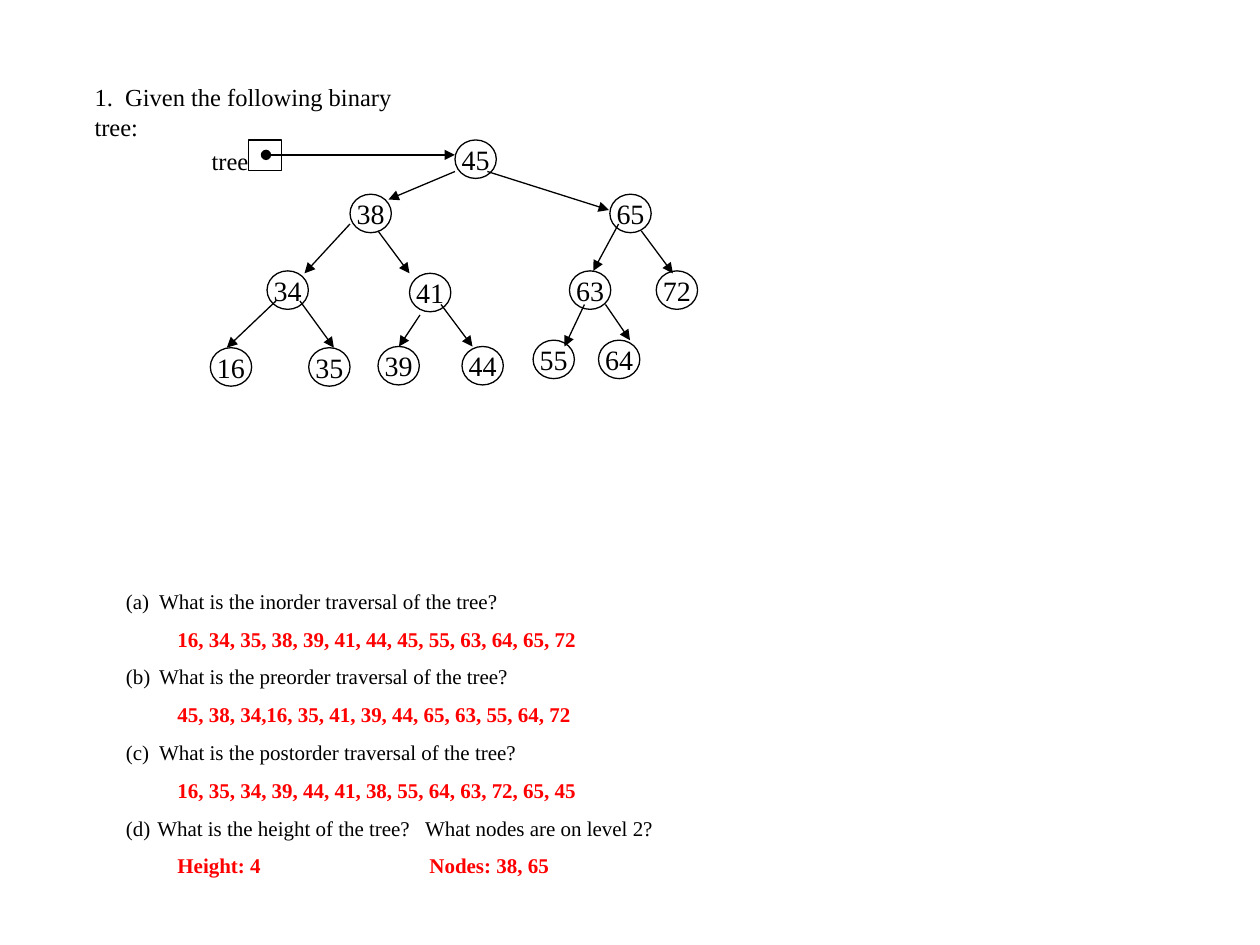
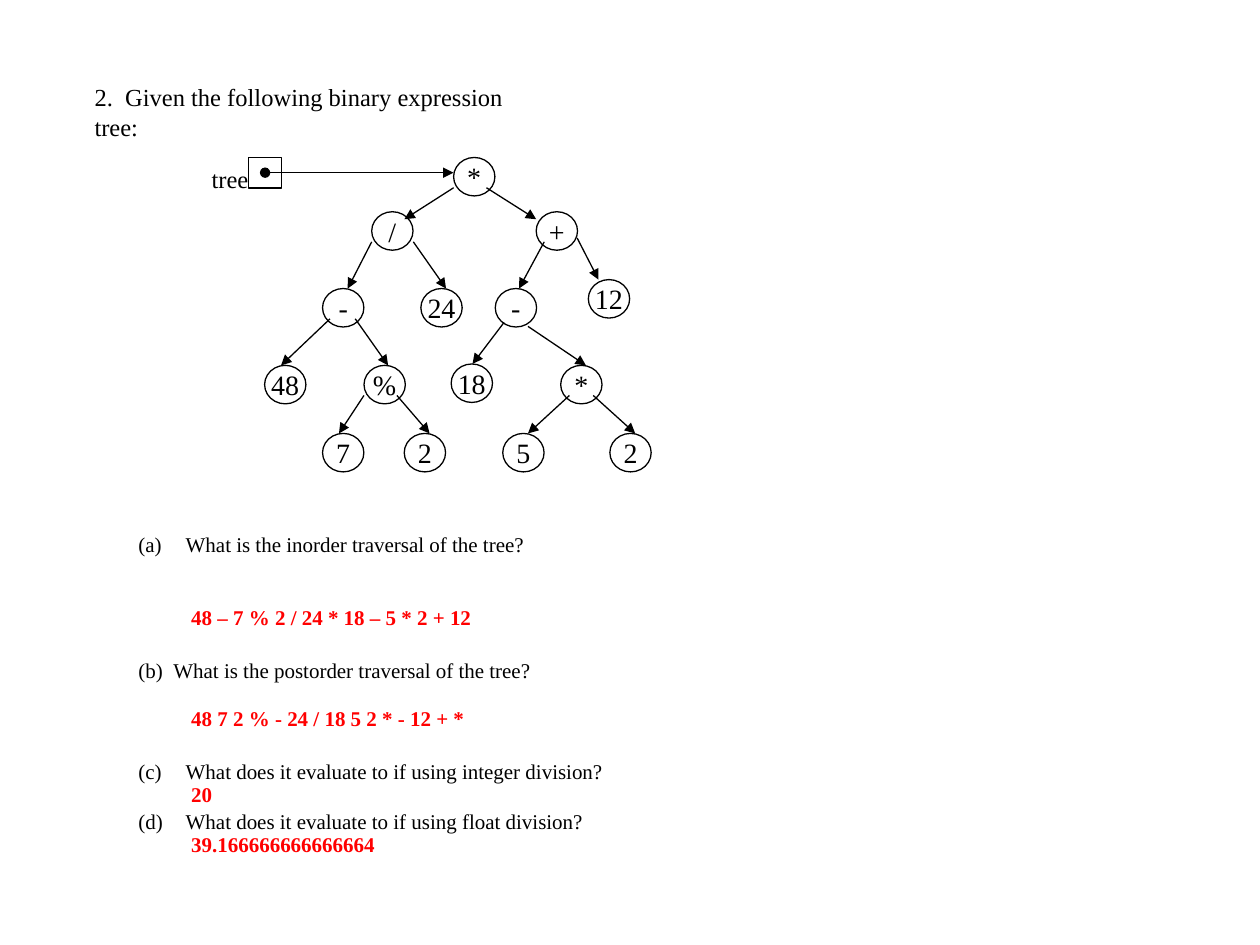
from dataclasses import dataclass

from lxml import etree
from pptx import Presentation
from pptx import util as u
from pptx.dml.color import RGBColor
from pptx.enum import shapes, text
from pptx.oxml.ns import qn

Pt = u.Pt


@dataclass(frozen=True)
class Theme:
    font: str = "Times New Roman"
    ink: RGBColor = RGBColor(0, 0, 0)
    answer: RGBColor = RGBColor(255, 0, 0)
    title_size: float = 14
    title_line: float = 17
    node_size: float = 16
    body_size: float = 12
    body_line: float = 14.4
    stroke: float = 0.75
    node_width: float = 23.6
    node_height: float = 22


T = Theme()

# Each node: label, left, top, start and end of the arrow that leads to it.
# The first node is the root; its arrow comes from the tree pointer.
SEARCH_TREE = [
    ("45", 260, 80, (152, 88.5), (260, 88.5)),
    ("38", 200, 111, (260, 98), (222, 114)),
    ("65", 348.5, 111, (278.5, 98), (348, 120)),
    ("34", 152.6, 154.8, (200, 128), (174, 156.2)),
    ("41", 234, 156.2, (216, 132), (234, 156.2)),
    ("63", 325.4, 154.8, (353.5, 128), (339, 154.8)),
    ("72", 375, 154.8, (366.5, 132), (384.5, 156.2)),
    ("16", 120.2, 198.7, (157.7, 172), (129.6, 198.7)),
    ("35", 176.4, 198.7, (171.4, 172), (190.8, 198.7)),
    ("39", 216, 198, (240, 180), (228, 198)),
    ("44", 264, 198, (252, 174), (270, 198)),
    ("55", 304.6, 194.4, (334, 174), (322.6, 198)),
    ("64", 342, 194.4, (346, 174), (360, 194.4)),
]
EXPRESSION_TREE = [
    ("*", 259.2, 90, (151.5, 98.7), (259.2, 98.7)),
    ("/", 212.4, 121, (259.2, 107.3), (231.1, 125.3)),
    ("+", 306.4, 121, (278, 107.3), (306.4, 125.3)),
    ("-", 184.3, 164.9, (212.4, 138.2), (198.7, 164.9)),
    ("24", 240.5, 164.9, (236.2, 138.2), (254.9, 164.9)),
    ("-", 283, 164.9, (311, 138.2), (296.6, 164.9)),
    ("12", 336.2, 159.8, (329.8, 136), (342, 159.8)),
    ("48", 151.2, 208.8, (188.6, 182.2), (160.6, 208.8)),
    ("%", 208, 208.8, (203, 182.2), (221.8, 208.8)),
    ("18", 257.8, 208, (288, 184.3), (270, 208)),
    ("*", 320.4, 208.8, (301.7, 186.5), (334.8, 208.8)),
    ("7", 184.3, 247.7, (208, 226), (193.7, 247.7)),
    ("2", 231, 247.7, (226.8, 226), (245.5, 247.7)),
    ("5", 287.3, 247.7, (325.4, 226), (301.7, 247.7)),
    ("2", 348.5, 247.7, (339, 226), (363, 247.7)),
]

# Each question: free lines above, hanging indent, wording
TREE_QUESTIONS = [
    (0, 19, "What is the inorder traversal of the tree?"),
    (2, 19, "What is the preorder traversal of the tree?"),
    (2, 19, "What is the postorder traversal of the tree?"),
    (2, 18, "What is the height of the tree?\tWhat nodes are on level 2?"),
]
EXPRESSION_QUESTIONS = [
    (0, 27, "What is the inorder traversal of the tree?"),
    (4, 20, "What is the postorder traversal of the tree?"),
    (3, 27, "What does it evaluate to if using integer division?"),
    (1, 27, "What does it evaluate to if using float division?"),
]

# Each answer: free lines above, wording
TREE_ANSWERS = [
    (0, "16, 34, 35, 38, 39, 41, 44, 45, 55, 63, 64, 65, 72"),
    (2, "45, 38, 34,16, 35, 41, 39, 44, 65, 63, 55, 64, 72"),
    (2, "16, 35, 34, 39, 44, 41, 38, 55, 64, 63, 72, 65, 45"),
    (2, "Height: 4\tNodes: 38, 65"),
]
EXPRESSION_ANSWERS = [
    (0, "48 – 7 % 2 / 24 * 18 – 5 * 2 + 12"),
    (3, "48 7 2 % - 24 / 18 5 2 * - 12 + *"),
    (2, "20"),
    (1, "39.166666666666664"),
]


def write(p, words, size, color=T.ink, bold=False):
    p.text = words
    for r in p.runs:
        r.font.name, r.font.size, r.font.bold = T.font, Pt(size), bold
        r.font.color.rgb = color


def add_title(s, words, width):
    sp = s.shapes.title
    sp.left, sp.top, sp.width, sp.height = Pt(46.8), Pt(43.2), Pt(width), Pt(42)
    tf = sp.text_frame
    tf.word_wrap = True
    tf.auto_size = text.MSO_AUTO_SIZE.NONE
    tf.vertical_anchor = text.MSO_ANCHOR.TOP
    p = tf.paragraphs[0]
    p.alignment = text.PP_ALIGN.LEFT
    p.line_spacing = Pt(T.title_line)
    write(p, words, T.title_size)


def add_outline(s, kind, left, top, width, height):
    sp = s.shapes.add_shape(kind, Pt(left), Pt(top), Pt(width), Pt(height))
    sp.shadow.inherit = False
    sp.fill.background()
    sp.line.color.rgb = T.ink
    sp.line.width = Pt(T.stroke)
    return sp


def add_node(s, label, left, top):
    sp = add_outline(s, shapes.MSO_SHAPE.OVAL, left, top, T.node_width, T.node_height)
    tf = sp.text_frame
    tf.word_wrap = False
    tf.vertical_anchor = text.MSO_ANCHOR.MIDDLE
    p = tf.paragraphs[0]
    p.alignment = text.PP_ALIGN.CENTER
    write(p, label, T.node_size)


def add_arrow(s, start, end, dotted_start=False):
    cx = s.shapes.add_connector(shapes.MSO_CONNECTOR.STRAIGHT,
                                *(Pt(v) for v in (*start, *end)))
    cx.line.color.rgb = T.ink
    cx.line.width = Pt(T.stroke)
    ln = cx.line._get_or_add_ln()
    if dotted_start:
        etree.SubElement(ln, qn("a:headEnd"), type="oval")
    etree.SubElement(ln, qn("a:tailEnd"), type="triangle")
    etree.SubElement(cx._element.spPr, qn("a:effectLst"))


def add_text_box(s, left, top, width, height):
    sp = s.shapes.add_textbox(Pt(left), Pt(top), Pt(width), Pt(height))
    sp.text_frame.word_wrap = False
    return sp.text_frame


def add_tree(s, nodes):
    # Pointer variable, level with the root
    top = nodes[0][2]
    add_outline(s, shapes.MSO_SHAPE.RECTANGLE, 142.2, top, 18.8, 17.4)
    tf = add_text_box(s, 113.8, top, 35.3, 23.8)
    write(tf.paragraphs[0], "tree", T.title_size)
    # Nodes and the arrows that lead to them
    for i, (label, left, node_top, start, end) in enumerate(nodes):
        add_node(s, label, left, node_top)
        add_arrow(s, start, end, dotted_start=i == 0)


def add_line(tf, i, free_lines, words, color=T.ink, bold=False):
    p = tf.add_paragraph() if i else tf.paragraphs[0]
    p.line_spacing = Pt(T.body_line)
    p.space_before = Pt(free_lines * T.body_line)
    write(p, words, T.body_size, color, bold)
    return p


def add_tab_stop(p, position):
    tabs = etree.SubElement(p._p.get_or_add_pPr(), qn("a:tabLst"))
    etree.SubElement(tabs, qn("a:tab"), pos=str(Pt(position)), algn="l")


def add_questions(s, left, top, questions):
    tf = add_text_box(s, left, top, 320, 167)
    for i, (free_lines, hang, words) in enumerate(questions):
        p = add_line(tf, i, free_lines, words)
        pPr = p._p.get_or_add_pPr()
        pPr.set("marL", str(Pt(hang)))
        pPr.set("indent", str(-Pt(hang)))
        etree.SubElement(pPr, qn("a:buAutoNum"), type="alphaLcParenBoth",
                         startAt=str(i + 1))
        if "\t" in words:
            add_tab_stop(p, 171)


def add_answers(s, left, top, answers):
    tf = add_text_box(s, left, top, 276, 152.6)
    for i, (free_lines, words) in enumerate(answers):
        p = add_line(tf, i, free_lines, words, T.answer, bold=True)
        if "\t" in words:
            add_tab_stop(p, 144)


def main():
    prs = Presentation()
    prs.slide_width, prs.slide_height = Pt(720), Pt(540)
    title_only = prs.slide_layouts[5]

    # Binary search tree
    s = prs.slides.add_slide(title_only)
    add_title(s, "1.  Given the following binary tree:", 205)
    add_tree(s, SEARCH_TREE)
    add_questions(s, 64.8, 332.6, TREE_QUESTIONS)
    add_answers(s, 94.3, 354.2, TREE_ANSWERS)

    # Expression tree
    s = prs.slides.add_slide(title_only)
    add_title(s, "2.  Given the following binary expression tree:", 268)
    add_tree(s, EXPRESSION_TREE)
    add_questions(s, 72, 300.2, EXPRESSION_QUESTIONS)
    add_answers(s, 102.2, 342, EXPRESSION_ANSWERS)

    prs.save("out.pptx")


if __name__ == "__main__":
    main()
